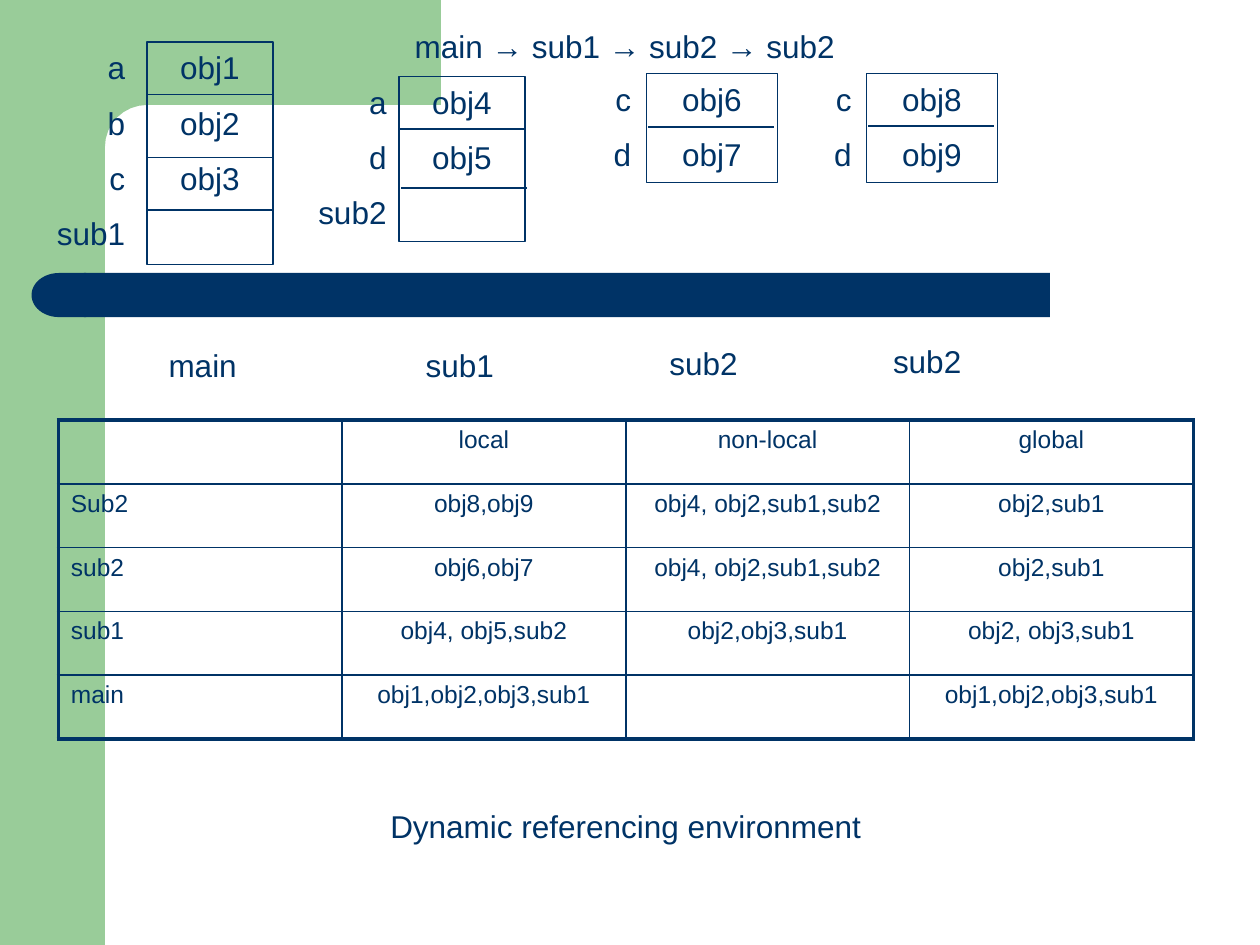
"""Build the slide on the dynamic referencing environment of nested calls."""
from dataclasses import dataclass
from math import cos, pi, sin

from lxml.etree import SubElement
from pptx import Presentation
from pptx.dml.color import RGBColor
from pptx.enum.shapes import MSO_CONNECTOR, MSO_SHAPE
from pptx.enum.text import MSO_ANCHOR, MSO_AUTO_SIZE, PP_ALIGN
from pptx.oxml.ns import qn
from pptx.util import Emu, Inches, Pt

NAVY = RGBColor(0x00, 0x33, 0x66)
GREEN = RGBColor(0x99, 0xCC, 0x99)
SLIDE_WIDTH, SLIDE_HEIGHT = Inches(10), Inches(7.5)
COLUMNS = 120
UNIT = SLIDE_WIDTH / COLUMNS
ROWS = SLIDE_HEIGHT / UNIT
THIN, INNER, OUTER = Pt(0.75), Pt(1), Pt(2.25)


@dataclass(frozen=True)
class Area:
    """A rectangle in grid columns and rows."""
    left: float
    top: float
    width: float
    height: float

    def emu(self) -> list[Emu]:
        return [grid(n) for n in (self.left, self.top, self.width, self.height)]


@dataclass(frozen=True)
class Activation:
    """An activation record: its names, objects and dividing rules."""
    names: list[str]
    objects: list[str]
    box: Area
    label_left: float
    label_width: float
    rules: list[tuple[float, float]]


@dataclass(frozen=True)
class Caption:
    """A single centred line of text."""
    text: str
    area: Area


ACTIVATIONS = [
    Activation(["a", "b", "c", "sub1"], ["obj1", "obj2", "obj3"],
               Area(14, 4, 12, 21.2), 4.1, 9, [(14, 9), (14, 15), (14, 20)]),
    Activation(["a", "d", "sub2"], ["obj4", "obj5"],
               Area(38, 7.3, 12, 15.7), 29, 9, [(38, 12.3), (38.2, 17.9)]),
    Activation(["c", "d"], ["obj6", "obj7"],
               Area(61.55, 7, 12.5, 10.35), 54.2, 7.1, [(61.7, 12.1)]),
    Activation(["c", "d"], ["obj8", "obj9"],
               Area(82.5, 7, 12.5, 10.35), 75.2, 7.1, [(82.7, 12)]),
]
CAPTIONS = [
    Caption("main → sub1 → sub2 → sub2", Area(35, 2, 49, 4.8)),
    Caption("main", Area(12.9, 32.4, 12.8, 4.8)),
    Caption("sub1", Area(37.4, 32.4, 12.8, 4.8)),
    Caption("sub2", Area(60.6, 32.2, 12.8, 4.8)),
    Caption("sub2", Area(81.9, 32, 12.8, 4.8)),
    Caption("Dynamic referencing environment", Area(33.8, 76.3, 51.6, 4.8)),
]
ENVIRONMENTS = [
    ["", "local", "non-local", "global"],
    ["Sub2", "obj8,obj9", "obj4, obj2,sub1,sub2", "obj2,sub1"],
    ["sub2", "obj6,obj7", "obj4, obj2,sub1,sub2", "obj2,sub1"],
    ["sub1", "obj4, obj5,sub2", "obj2,obj3,sub1", "obj2, obj3,sub1"],
    ["main", "obj1,obj2,obj3,sub1", "", "obj1,obj2,obj3,sub1"],
]


def grid(count: float) -> Emu:
    return Emu(round(count * UNIT))


def write(frame, lines: list[str], align: PP_ALIGN, size: int = 18) -> None:
    for index, line in enumerate(lines):
        paragraph = frame.paragraphs[0] if index == 0 else frame.add_paragraph()
        paragraph.alignment = align
        if index:
            paragraph.space_before = Pt(10)
        run = paragraph.add_run()
        run.text = line
        for name, value in {"name": "Arial", "size": Pt(size)}.items():
            setattr(run.font, name, value)
        run.font.color.rgb = NAVY


def set_frame(frame) -> None:
    settings = {"word_wrap": True, "auto_size": MSO_AUTO_SIZE.NONE,
                "vertical_anchor": MSO_ANCHOR.TOP}
    for name, value in settings.items():
        setattr(frame, name, value)


def add_text(shapes, area: Area, lines: list[str], align: PP_ALIGN) -> None:
    frame = shapes.add_textbox(*area.emu()).text_frame
    set_frame(frame)
    write(frame, lines, align)


def paint(shape, colour: RGBColor) -> None:
    shape.shadow.inherit = False
    shape.fill.solid()
    shape.fill.fore_color.rgb = colour
    shape.line.fill.background()


def add_backdrop(shapes) -> None:
    paint(shapes.add_shape(MSO_SHAPE.RECTANGLE, *Area(0, 0, 10, ROWS).emu()), GREEN)
    bend = [(14 - 4 * sin(step * pi / 16), 14 - 4 * cos(step * pi / 16))
            for step in range(9)]
    outline = [(42, 0), (42, 10), *bend, (10, 15.4), (6, 15.4), (6, 0)]
    start, *rest = [(grid(x), grid(y)) for x, y in outline]
    builder = shapes.build_freeform(*start)
    builder.add_line_segments(rest)
    paint(builder.convert_to_shape(), GREEN)
    bar = shapes.add_shape(MSO_SHAPE.ROUNDED_RECTANGLE, *Area(8, 26, 92, 4.2).emu())
    bar.adjustments[0] = 0
    paint(bar, NAVY)
    cap = shapes.add_shape(MSO_SHAPE.FLOWCHART_DELAY, *Area(3, 26, 5.2, 4.2).emu())
    cap.rotation = 180
    paint(cap, NAVY)


def add_rule(shapes, left: float, top: float) -> None:
    rule = shapes.add_connector(MSO_CONNECTOR.STRAIGHT, grid(left), grid(top),
                                grid(left + 12), grid(top))
    rule.line.color.rgb = NAVY
    rule.line.width = THIN
    SubElement(rule.element.spPr, qn("a:effectLst"))


def add_activation(shapes, record: Activation) -> None:
    box = shapes.add_shape(MSO_SHAPE.RECTANGLE, *record.box.emu())
    box.shadow.inherit = False
    box.fill.background()
    box.line.color.rgb = NAVY
    box.line.width = THIN
    set_frame(box.text_frame)
    write(box.text_frame, record.objects, PP_ALIGN.CENTER)
    labels = Area(record.label_left, record.box.top, record.label_width,
                  record.box.height)
    add_text(shapes, labels, record.names, PP_ALIGN.RIGHT)
    for left, top in record.rules:
        add_rule(shapes, left, top)


def set_border(cell, side: str, width: Pt) -> None:
    line = SubElement(cell._tc.get_or_add_tcPr(), qn(f"a:ln{side}"), w=str(width))
    SubElement(SubElement(line, qn("a:solidFill")), qn("a:srgbClr"), val=str(NAVY))


def add_environments(shapes) -> None:
    last_row, last_column = len(ENVIRONMENTS) - 1, len(ENVIRONMENTS[0]) - 1
    table = shapes.add_table(last_row + 1, last_column + 1,
                             *Area(5.55, 40, 108.1, 30.4).emu()).table
    table.first_row = table.horz_banding = False
    for row, entries in enumerate(ENVIRONMENTS):
        for column, entry in enumerate(entries):
            cell = table.cell(row, column)
            edges = {"L": column == 0, "R": column == last_column,
                     "T": row == 0, "B": row == last_row}
            for side, outside in edges.items():
                set_border(cell, side, OUTER if outside else INNER)
            cell.fill.background()
            if entry:
                align = PP_ALIGN.CENTER if column else PP_ALIGN.LEFT
                write(cell.text_frame, [entry], align, 14)


def main() -> None:
    deck = Presentation()
    deck.slide_width, deck.slide_height = SLIDE_WIDTH, SLIDE_HEIGHT
    shapes = deck.slides.add_slide(deck.slide_layouts[6]).shapes
    add_backdrop(shapes)
    for record in ACTIVATIONS:
        add_activation(shapes, record)
    for caption in CAPTIONS:
        add_text(shapes, caption.area, [caption.text], PP_ALIGN.CENTER)
    add_environments(shapes)
    deck.save("out.pptx")


if __name__ == "__main__":
    main()
